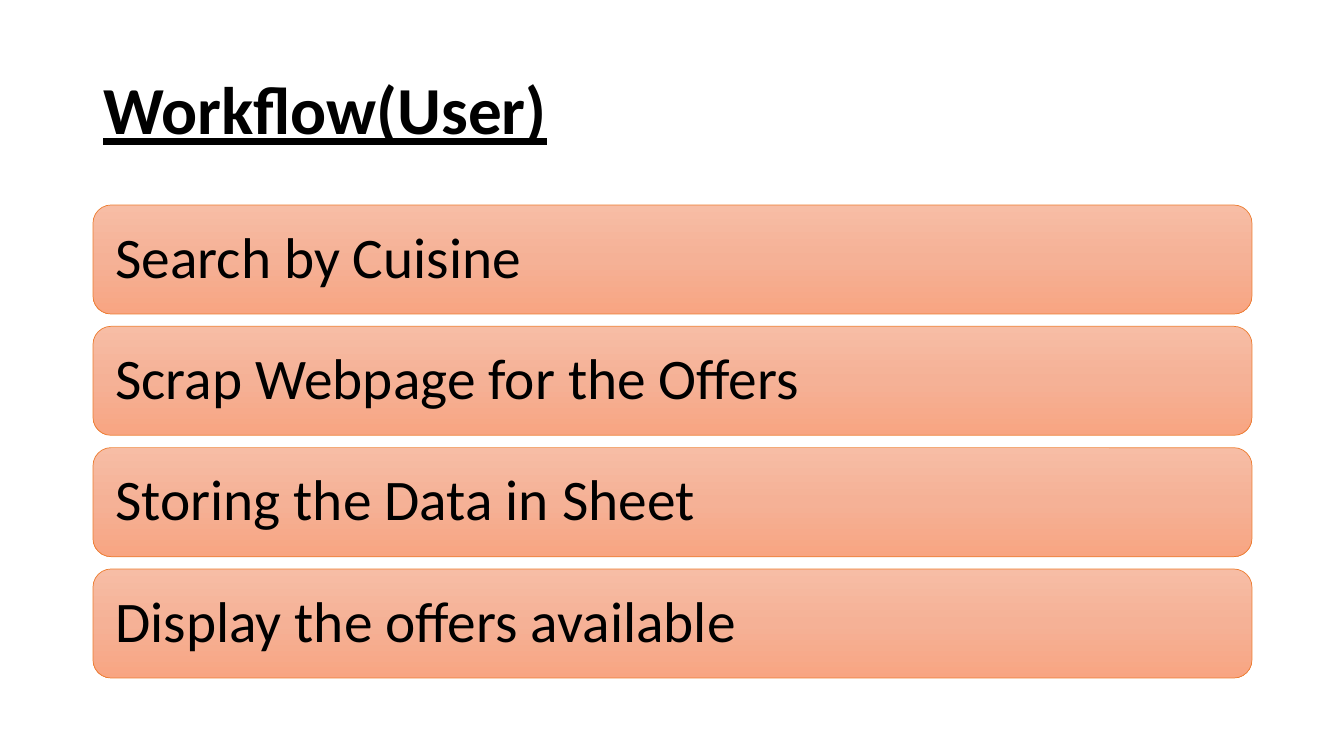
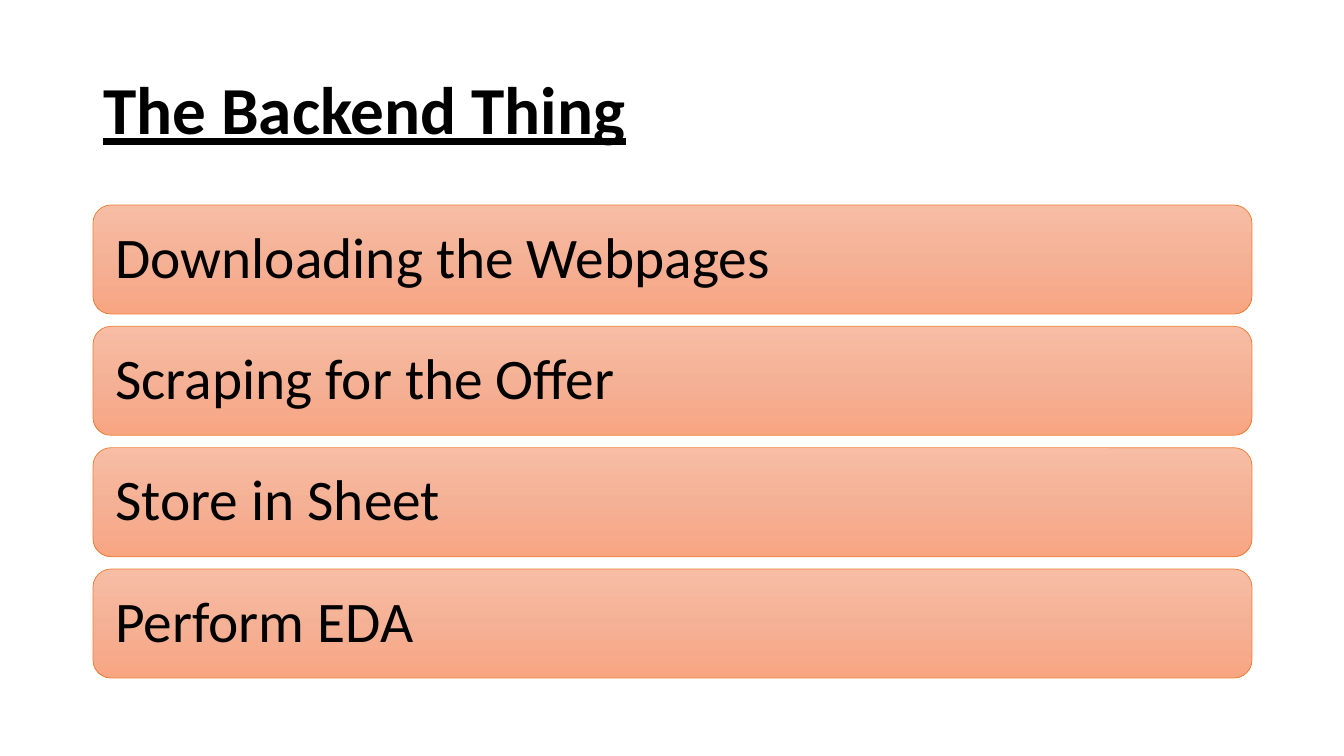
from copy import deepcopy

from pptx import Presentation
from pptx.dml.color import RGBColor
from pptx.enum.shapes import MSO_SHAPE
from pptx.enum.text import MSO_ANCHOR, MSO_AUTO_SIZE, PP_ALIGN
from pptx.oxml.ns import qn
from pptx.util import Emu, Pt

ROUNDED = MSO_SHAPE.ROUNDED_RECTANGLE
MIDDLE = MSO_ANCHOR.MIDDLE
NO_FIT = MSO_AUTO_SIZE.NONE
LEFT = PP_ALIGN.LEFT
JUSTIFY = PP_ALIGN.JUSTIFY

EMU_PER_INCH = 914400
PX_PER_INCH = 100.8
TITLE_ONLY = 5

WORKFLOWS = {
    "Workflow(User)": [
        "Search by Cuisine",
        "Scrap Webpage for the Offers",
        "Storing the Data in Sheet",
        "Display the offers available",
    ],
    "The Backend Thing": [
        "Downloading the Webpages",
        "Scraping for the Offer",
        "Store in Sheet",
        "Perform EDA",
    ],
}


def px(length):
    return Emu(round(length * EMU_PER_INCH / PX_PER_INCH))


def color(value):
    return RGBColor.from_string(value)


def apply(target, values):
    for name, value in values.items():
        setattr(target, name, value)


class Deck:
    FONT = "Calibri"
    INK = "000000"
    BORDER = "ED7D31"
    GRADIENT = [(0, "F7BDA5"), (0.5, "F5B196"), (1, "F8A582")]
    DOWNWARD = 270
    MARGIN = 93
    CONTENT_WIDTH = 1159
    TITLE_TOP = 40
    TITLE_HEIGHT = 146
    STEPS_TOP = 205
    STEPS_HEIGHT = 473
    STEP_HEIGHT = 109
    STEP_INSET = 17
    TITLE_FONT = {"size": Pt(48), "bold": True, "underline": True}
    STEP_FONT = {"size": Pt(41)}

    def __init__(self):
        self.presentation = Presentation()
        apply(self.presentation, {"slide_width": px(1344), "slide_height": px(756)})
        self.slide = None

    def add_slide(self, title):
        layout = self.presentation.slide_layouts[TITLE_ONLY]
        self.slide = self.presentation.slides.add_slide(layout)
        shape = self.slide.shapes.title
        apply(shape, {
            "left": px(self.MARGIN),
            "top": px(self.TITLE_TOP),
            "width": px(self.CONTENT_WIDTH),
            "height": px(self.TITLE_HEIGHT),
        })
        self.set_text(shape, title, JUSTIFY, self.TITLE_FONT)

    def set_text(self, shape, text, alignment, font):
        frame = shape.text_frame
        frame.text = text
        apply(frame, {"word_wrap": True, "auto_size": NO_FIT, "vertical_anchor": MIDDLE})
        paragraph = frame.paragraphs[0]
        apply(paragraph, {"alignment": alignment, "line_spacing": 0.9})
        run_font = paragraph.runs[0].font
        apply(run_font, {"name": self.FONT, **font})
        run_font.color.rgb = color(self.INK)

    def fill_gradient(self, shape):
        fill = shape.fill
        fill.gradient()
        fill.gradient_angle = self.DOWNWARD
        stop_list = next(shape._element.spPr.iter(qn("a:gsLst")))
        stop_list.append(deepcopy(stop_list[0]))
        for stop, (position, value) in zip(fill.gradient_stops, self.GRADIENT):
            stop.position = position
            stop.color.rgb = color(value)

    def add_step(self, text, top):
        shape = self.slide.shapes.add_shape(
            ROUNDED, px(self.MARGIN), px(top), px(self.CONTENT_WIDTH), px(self.STEP_HEIGHT)
        )
        shape.shadow.inherit = False
        self.fill_gradient(shape)
        shape.line.color.rgb = color(self.BORDER)
        shape.line.width = Pt(0.5)
        inset = px(self.STEP_INSET)
        sides = ("left", "top", "right", "bottom")
        apply(shape.text_frame, {f"margin_{side}": inset for side in sides})
        self.set_text(shape, text, LEFT, self.STEP_FONT)

    def add_steps(self, steps):
        pitch = (self.STEPS_HEIGHT - self.STEP_HEIGHT) / (len(steps) - 1)
        for index, text in enumerate(steps):
            self.add_step(text, self.STEPS_TOP + index * pitch)


def main():
    deck = Deck()
    for title, steps in WORKFLOWS.items():
        deck.add_slide(title)
        deck.add_steps(steps)
    deck.presentation.save("out.pptx")


if __name__ == "__main__":
    main()
